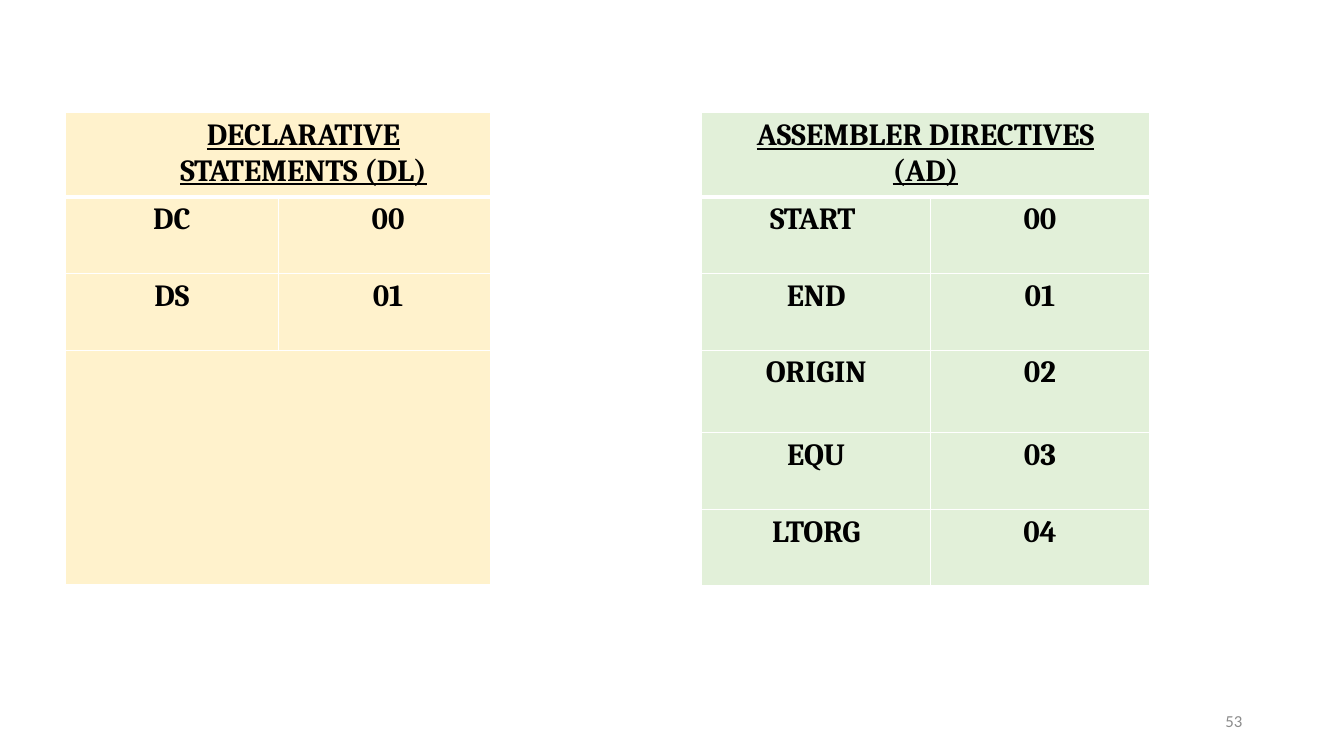
import dataclasses
import typing

import pptx
import pptx.dml.color
import pptx.enum.text
import pptx.oxml
import pptx.oxml.ns
import pptx.util

Inches = pptx.util.Inches
Pt = pptx.util.Pt
Align = pptx.enum.text.PP_ALIGN

HEADER_HEIGHT = 0.82
ROW_HEIGHT = 0.76
TABLE_TOP = 1.12


@dataclasses.dataclass(frozen=True)
class OpcodeTable:
    left: float
    fill: str
    title: str
    title_indent: float
    columns: tuple[float, ...]
    rows: tuple[tuple[str, str], ...]
    heights: tuple[float, ...]


TABLES = (
    OpcodeTable(
        0.65, "FFF2CC", "DECLARATIVE STATEMENTS (DL)", 0.5, (2.11, 2.11),
        (("DC", " 00"), ("DS", " 01"), ("", "")),
        (HEADER_HEIGHT, ROW_HEIGHT, ROW_HEIGHT, 2.33),
    ),
    OpcodeTable(
        6.96, "E2F0D9", "ASSEMBLER DIRECTIVES\n(AD)", 0, (2.27, 2.17),
        (("START ", "00"), ("END", "01"), ("ORIGIN", "02"), ("EQU", "03"), ("LTORG", "04")),
        (HEADER_HEIGHT, ROW_HEIGHT, ROW_HEIGHT, 0.82, ROW_HEIGHT, ROW_HEIGHT),
    ),
)

ENTRY_FORMAT = {"name": "Cambria", "size": Pt(22), "bold": True, "underline": False}
TITLE_FORMAT = {**ENTRY_FORMAT, "underline": True}
NUMBER_FORMAT = {"name": "Calibri", "size": Pt(12)}


def rgb(value: str) -> pptx.dml.color.RGBColor:
    return pptx.dml.color.RGBColor.from_string(value)


def write(frame: typing.Any, text: str, align: Align, color: str,
          formats: dict[str, typing.Any]) -> None:
    frame.text = text
    for para in frame.paragraphs:
        para.alignment = align
        for span in para.runs:
            for name, value in formats.items():
                setattr(span.font, name, value)
            span.font.color.rgb = rgb(color)


def add_borders(cell: typing.Any, row: int) -> None:
    properties = cell._tc.get_or_add_tcPr()
    widths = {"lnL": 1, "lnR": 1, "lnT": 3 if row == 1 else 1, "lnB": 3 if row == 0 else 1}
    for tag, width in widths.items():
        properties.append(pptx.oxml.parse_xml(
            f'<a:{tag} {pptx.oxml.ns.nsdecls("a")} w="{Pt(width)}">'
            f'<a:solidFill><a:srgbClr val="FFFFFF"/></a:solidFill></a:{tag}>'
        ))


def add_opcode_table(page: typing.Any, item: OpcodeTable) -> None:
    table = page.shapes.add_table(
        len(item.heights), len(item.columns), Inches(item.left), Inches(TABLE_TOP),
        Inches(sum(item.columns)), Inches(sum(item.heights)),
    ).table
    table.horz_banding = False
    for column, width in zip(table.columns, item.columns):
        column.width = Inches(width)
    for row, height in zip(table.rows, item.heights):
        row.height = Inches(height)
    for row_index, values in enumerate(((item.title, ""), *item.rows)):
        formats = ENTRY_FORMAT if row_index else TITLE_FORMAT
        for column_index, value in enumerate(values):
            cell = table.cell(row_index, column_index)
            add_borders(cell, row_index)
            cell.fill.solid()
            cell.fill.fore_color.rgb = rgb(item.fill)
            if value:
                write(cell.text_frame, value, Align.CENTER, "000000", formats)
        if not values[1]:
            table.cell(row_index, 0).merge(table.cell(row_index, 1))
    if item.title_indent:
        para = table.cell(0, 0).text_frame.paragraphs[0]
        para.level = 1
        properties = para._p.get_or_add_pPr()
        properties.set("marL", str(Inches(item.title_indent)))
        properties.set("indent", "0")


def add_page_number(page: typing.Any) -> None:
    box = page.shapes.add_textbox(Inches(9.42), Inches(6.95), Inches(3), Inches(0.4))
    frame = box.text_frame
    frame.word_wrap = True
    frame.vertical_anchor = pptx.enum.text.MSO_ANCHOR.MIDDLE
    write(frame, "53", Align.RIGHT, "8C8C8C", NUMBER_FORMAT)


def main() -> None:
    deck = pptx.Presentation()
    deck.slide_width = Inches(13.33)
    deck.slide_height = Inches(7.5)
    page = deck.slides.add_slide(deck.slide_layouts[6])
    add_page_number(page)
    for item in TABLES:
        add_opcode_table(page, item)
    deck.save("out.pptx")


if __name__ == "__main__":
    main()
